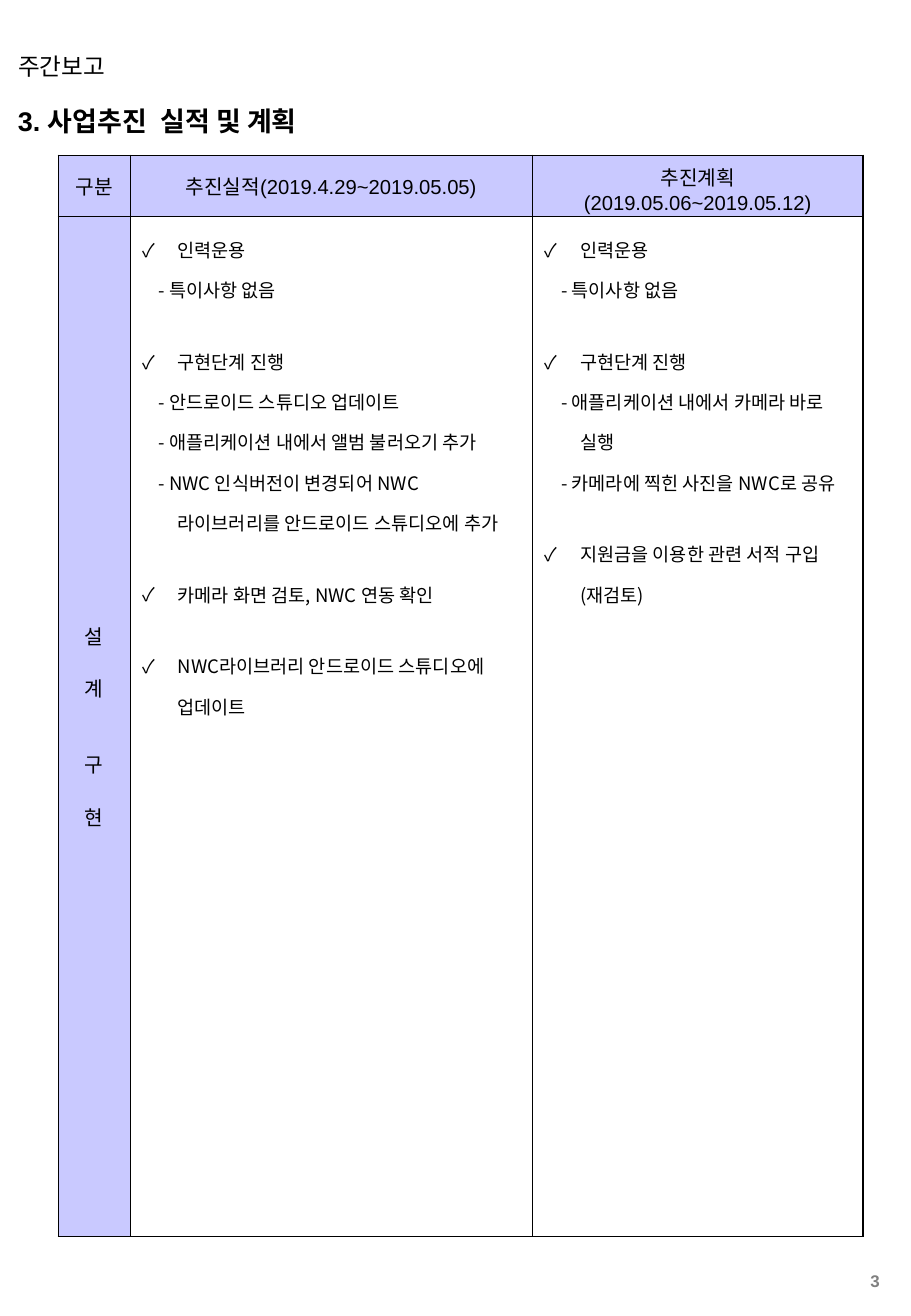
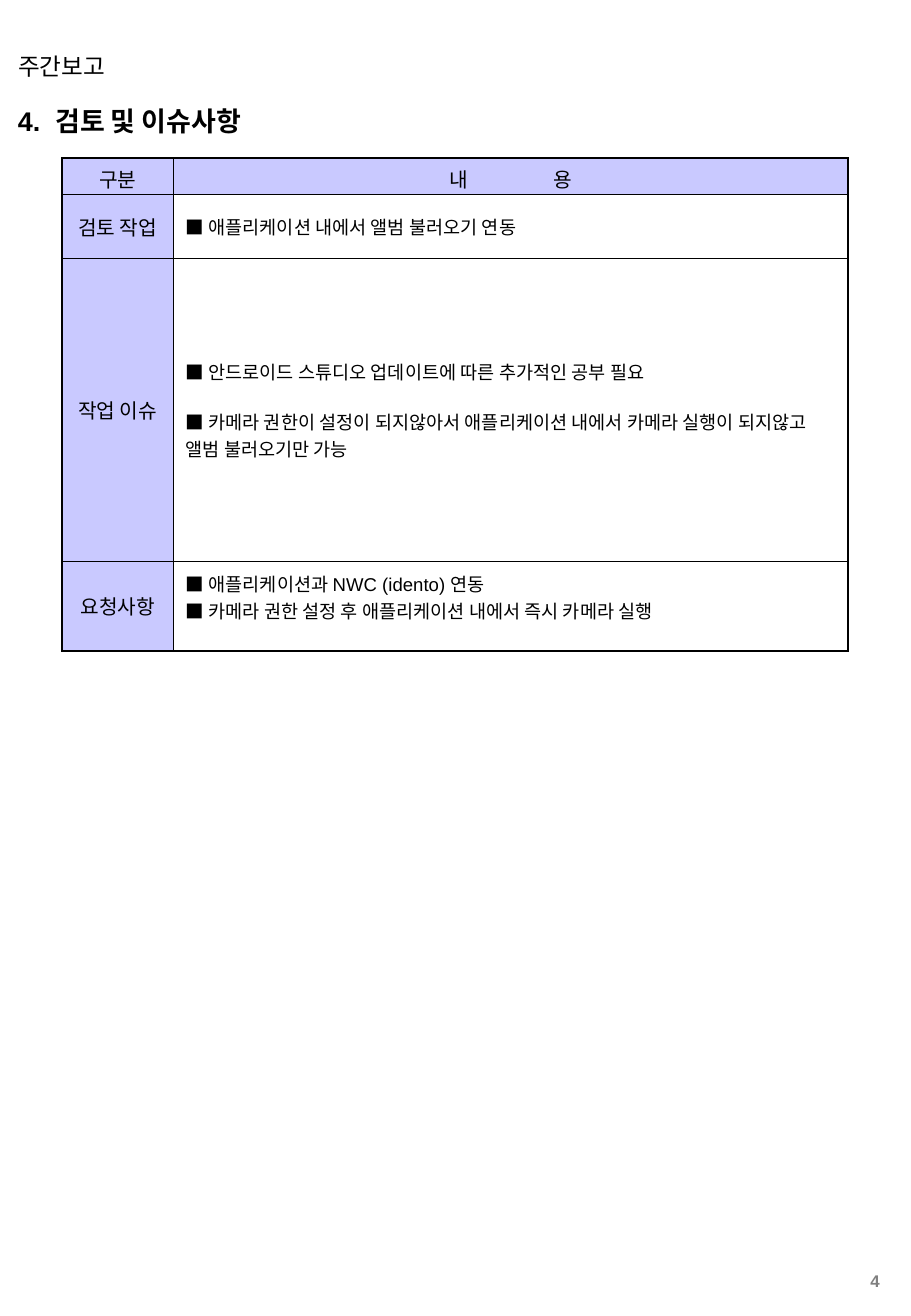
from lxml import etree
from pptx import Presentation
from pptx.dml.color import RGBColor
from pptx.enum.text import MSO_ANCHOR, PP_ALIGN
from pptx.oxml.ns import qn
from pptx.util import Pt

LEFT, CENTER, RIGHT = PP_ALIGN.LEFT, PP_ALIGN.CENTER, PP_ALIGN.RIGHT
TOP, MIDDLE = MSO_ANCHOR.TOP, MSO_ANCHOR.MIDDLE
COLORS = {"text": "000000", "number": "808080", "label": "C9C9FF"}
LATIN, KOREAN = "Arial", "Noto Sans CJK KR"
THIN, THICK = 0.45, 1.08
CHECK, DASH, SQUARE = "✓", "-", "■"
INDENTS = {CHECK: (21, -21), DASH: (21, -11.3)}


def add_text(frame, paragraphs, size, font=LATIN, align=LEFT, color="text", bold=False,
             spacing=1, gap=0):
    """Add (mark, text, space before) paragraphs; a | in a text is a space widened by gap."""
    frame.word_wrap = True
    for index, (mark, text, before) in enumerate(paragraphs):
        paragraph = frame.add_paragraph() if index else frame.paragraphs[0]
        properties = paragraph._p.get_or_add_pPr()
        if mark in INDENTS:
            margin, indent = INDENTS[mark]
            properties.set("marL", str(Pt(margin)))
            properties.set("indent", str(Pt(indent)))
        if mark == CHECK:
            etree.SubElement(properties, qn("a:buFont"), typeface=KOREAN)
            etree.SubElement(properties, qn("a:buChar"), char=mark)
        paragraph.alignment = align
        paragraph.line_spacing = spacing
        paragraph.space_before = Pt(before)

        pieces = [(f"{mark} ", KOREAN, 0)] if mark in (DASH, SQUARE) else []
        for position, part in enumerate(text.split("|")):
            if position:
                pieces.append((" ", font, gap))
            pieces.append((part, font, 0))
        for piece, typeface, extra in pieces:
            run = paragraph.add_run()
            run.text = piece
            run.font.size = Pt(size)
            run.font.bold = bold
            run.font.name = typeface
            run.font.color.rgb = RGBColor.from_string(COLORS[color])
            run_properties = run._r.get_or_add_rPr()
            etree.SubElement(run_properties, qn("a:ea"), typeface=KOREAN)
            if extra:
                run_properties.set("spc", str(round(extra * 100)))


def style_cell(cell, fill, anchor, margins, borders):
    """Margins are left, top, right, bottom; borders are widths by side letter."""
    cell.vertical_anchor = anchor
    cell.margin_left, cell.margin_top, cell.margin_right, cell.margin_bottom = map(Pt, margins)
    properties = cell._tc.get_or_add_tcPr()
    for side, width in borders.items():
        line = etree.SubElement(properties, qn(f"a:ln{side}"), w=str(Pt(width)))
        solid = etree.SubElement(line, qn("a:solidFill"))
        etree.SubElement(solid, qn("a:srgbClr"), val=COLORS["text"])
    if fill:
        cell.fill.solid()
        cell.fill.fore_color.rgb = RGBColor.from_string(COLORS[fill])
    else:
        cell.fill.background()


results = [
    (CHECK, "인력운용", 0),
    (DASH, "특이사항 없음", 0),
    (CHECK, "구현단계 진행", 18.5),
    (DASH, "안드로이드 스튜디오 업데이트", 0),
    (DASH, "애플리케이션 내에서 앨범 불러오기 추가", 0),
    (DASH, "NWC 인식버전이 변경되어 NWC 라이브러리를 안드로이드 스튜디오에 추가", 0),
    (CHECK, "카메라 화면 검토, NWC 연동 확인", 18.5),
    (CHECK, "NWC라이브러리 안드로이드 스튜디오에 업데이트", 18.5),
]
plans = [
    (CHECK, "인력운용", 0),
    (DASH, "특이사항 없음", 0),
    (CHECK, "구현단계 진행", 18.5),
    (DASH, "애플리케이션 내에서 카메라 바로 실행", 0),
    (DASH, "카메라에 찍힌 사진을 NWC로 공유", 0),
    (CHECK, "지원금을 이용한 관련 서적 구입 (재검토)", 18.5),
]
stages = [("", "설", 0), ("", "계", 13.8), ("", "구", 27.6), ("", "현", 13.8)]
reviews = [(SQUARE, "애플리케이션 내에서 앨범 불러오기 연동", 0)]
issues = [
    (SQUARE, "안드로이드 스튜디오 업데이트에 따른 추가적인 공부 필요", 0),
    (SQUARE, "카메라 권한이 설정이 되지않아서 애플리케이션 내에서 카메라 실행이 되지않고 앨범 불러오기만 가능", 13.8),
]
requests = [
    (SQUARE, "애플리케이션과 NWC (idento) 연동", 0),
    (SQUARE, "카메라 권한 설정 후 애플리케이션 내에서 즉시 카메라 실행", 0),
]

# Each body row: label paragraphs, content cells, font, bottom margin
pages = [
    {
        "number": "3", "title": "3. 사업추진|실적 및 계획",
        "origin": (34.6, 92.2), "columns": (42.5, 238.6, 195.9), "rows": (36, 604.8),
        "header": ("구분", "추진실적(2019.4.29~2019.05.05)", "추진계획(2019.05.06~2019.05.12)"),
        "header_tops": (0, 0, 3), "anchor": TOP, "spacing": 1.5, "bottom_line": THIN,
        "body": [(stages, [results, plans], KOREAN, 3.6)],
    },
    {
        "number": "4", "title": "4.|검토 및 이슈사항",
        "origin": (36.7, 93.6), "columns": (66.2, 399.6), "rows": (21.6, 38.2, 179.3, 53.3),
        "header": ("구분", "내|용"),
        "header_tops": (3, 3), "anchor": MIDDLE, "spacing": 1, "bottom_line": THICK,
        "body": [
            ([("", "검토 작업", 0)], [reviews], KOREAN, 3.6),
            ([("", "작업 이슈", 0)], [issues], KOREAN, 3.6),
            ([("", "요청사항", 0)], [requests], LATIN, 14.6),
        ],
    },
]

presentation = Presentation()
presentation.slide_width = Pt(540)
presentation.slide_height = Pt(780.48)

for page in pages:
    slide = presentation.slides.add_slide(presentation.slide_layouts[6])
    for text, place, size, align, color, bold in (
        ("주간보고", (3.6, 27.4, 428.4, 24.5), 14, LEFT, "text", False),
        (page["title"], (3.6, 58.3, 385.9, 26.6), 16, LEFT, "text", True),
        (page["number"], (488.2, 750.2, 40.3, 17.3), 10, RIGHT, "number", True),
    ):
        box = slide.shapes.add_textbox(*map(Pt, place))
        add_text(box.text_frame, [("", text, 0)], size, align=align, color=color, bold=bold,
                 gap=4.4)

    columns, rows = page["columns"], page["rows"]
    frame = slide.shapes.add_table(
        len(rows), len(columns), *map(Pt, page["origin"]), Pt(sum(columns)), Pt(sum(rows)))
    table = frame.table
    table.first_row = table.horz_banding = False
    for column, width in zip(table.columns, columns):
        column.width = Pt(width)
    for row, height in zip(table.rows, rows):
        row.height = Pt(height)

    last_row, last_column = len(rows) - 1, len(columns) - 1
    for row_index in range(len(rows)):
        for column_index in range(len(columns)):
            cell = table.cell(row_index, column_index)
            borders = {
                "L": THIN if column_index else THICK,
                "R": THICK if column_index == last_column else THIN,
                "T": THIN if row_index else THICK,
                "B": page["bottom_line"] if row_index == last_row else THIN,
            }
            if row_index == 0:
                side = 12 if column_index else 0
                margins = (side, page["header_tops"][column_index], side, 0)
                style_cell(cell, "label", MIDDLE, margins, borders)
                add_text(cell.text_frame, [("", page["header"][column_index], 0)], 12,
                         align=CENTER, gap=48)
                continue
            label, contents, font, bottom = page["body"][row_index - 1]
            if column_index == 0:
                style_cell(cell, "label", MIDDLE, (0, 3.6, 0, 3.6), borders)
                add_text(cell.text_frame, label, 12, align=CENTER)
            else:
                style_cell(cell, None, page["anchor"], (7.2, 3.6, 7.2, bottom), borders)
                add_text(cell.text_frame, contents[column_index - 1], 11, font,
                         spacing=page["spacing"])

presentation.save("out.pptx")
